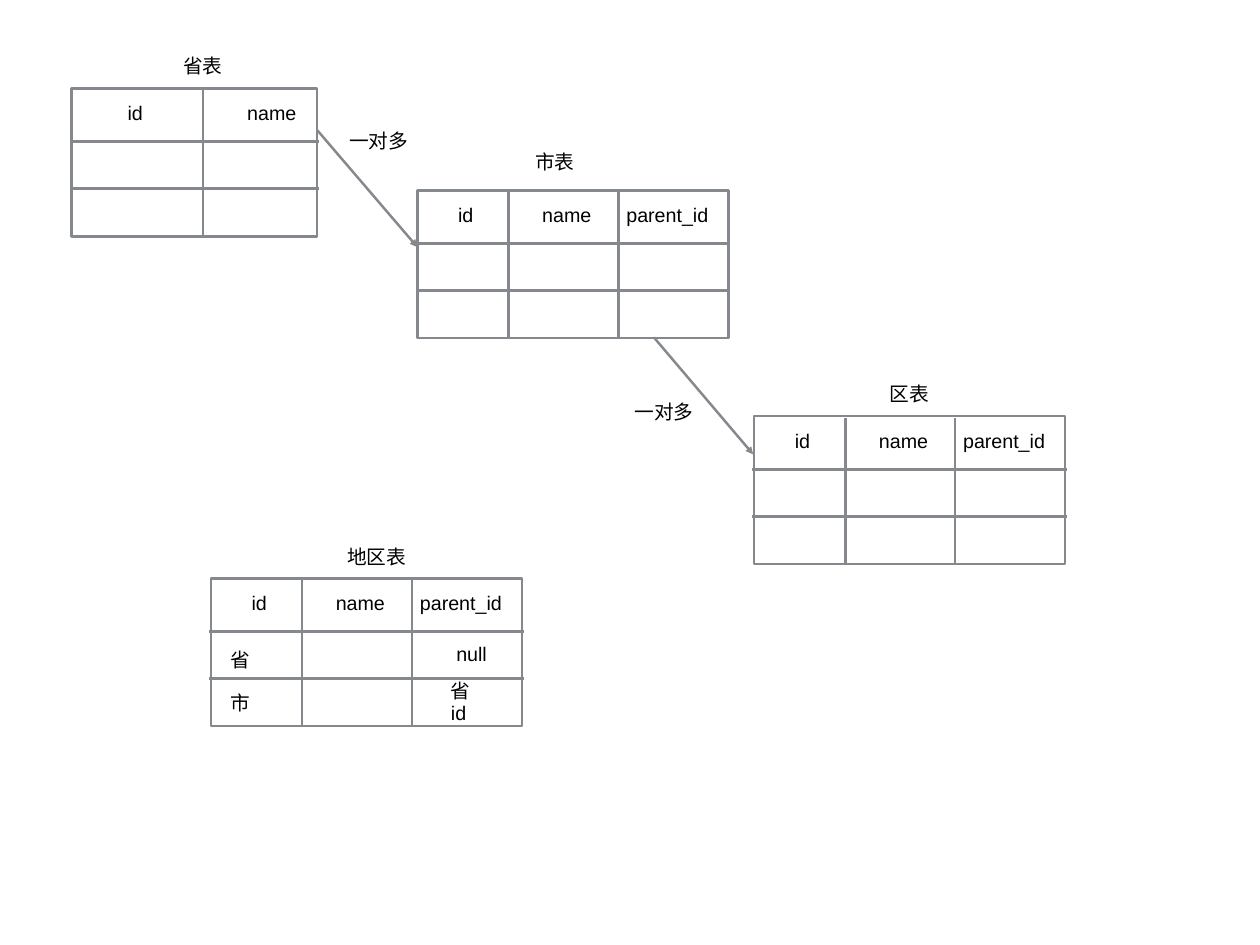
from lxml.etree import SubElement
from pptx import Presentation
from pptx.dml.color import RGBColor
from pptx.enum.shapes import MSO_CONNECTOR, MSO_SHAPE
from pptx.enum.text import MSO_ANCHOR, MSO_AUTO_SIZE
from pptx.oxml.ns import qn
from pptx.util import Inches, Pt

GREY = RGBColor.from_string("85888D")
BLACK = RGBColor.from_string("000000")

deck = Presentation()
deck.slide_width = Inches(14.22)
deck.slide_height = Inches(10.67)
page = deck.slides.add_slide(deck.slide_layouts[6])


def add_line(x1, y1, x2, y2, arrow=False):
    line = page.shapes.add_connector(
        MSO_CONNECTOR.STRAIGHT, Inches(x1), Inches(y1), Inches(x2), Inches(y2))
    line.line.color.rgb = GREY
    line.line.width = Pt(2)
    if arrow:
        SubElement(line.line._get_or_add_ln(), qn("a:tailEnd"), type="triangle")
    SubElement(line._element.spPr, qn("a:effectLst"))


def add_label(text, left, top, width, height=0.42, wrap=False):
    box = page.shapes.add_textbox(
        Inches(left), Inches(top), Inches(width), Inches(height))
    frame = box.text_frame
    frame.margin_left = frame.margin_right = Inches(0.06)
    frame.margin_top = frame.margin_bottom = Inches(0.06)
    frame.vertical_anchor = MSO_ANCHOR.MIDDLE
    frame.word_wrap = wrap
    frame.auto_size = MSO_AUTO_SIZE.NONE if wrap else MSO_AUTO_SIZE.SHAPE_TO_FIT_TEXT
    para = frame.paragraphs[0]
    para.text = text
    para.line_spacing = 0.9
    para.space_before = Pt(1)
    para.font.name = "Arial"
    para.font.size = Pt(16)
    para.font.color.rgb = BLACK


# Table designs: width, column dividers, headings (text, offset, width)
two_columns = (2.77, [1.48], [("id", 0.57, 0.31), ("name", 1.92, 0.68)])
three_columns = (3.51, [1.03, 2.27],
                 [("id", 0.4, 0.31), ("name", 1.35, 0.68), ("parent_id", 2.3, 1.06)])

# Tables: left, top, design, then title with its left, top and width
tables = [
    (0.81, 1.0, two_columns, ("省表", 2.01, 0.55, 0.57)),
    (4.71, 2.15, three_columns, ("市表", 5.98, 1.63, 0.57)),
    (8.51, 4.7, three_columns, ("区表", 9.98, 4.25, 0.57)),
    (2.38, 6.53, three_columns, ("地区表", 3.86, 6.09, 0.79)),
]
for left, top, (width, dividers, headings), title in tables:
    outline = page.shapes.add_shape(
        MSO_SHAPE.RECTANGLE, Inches(left), Inches(top), Inches(width), Inches(1.67))
    outline.fill.background()
    outline.line.color.rgb = GREY
    outline.line.width = Pt(2)
    outline.shadow.inherit = False
    for row in (0.6, 1.13):
        add_line(left - 0.02, top + row, left + width + 0.02, top + row)
    for divider in dividers:
        add_line(left + divider, top + 1.66, left + divider, top + 0.02)
    for heading, offset, heading_width in headings:
        add_label(heading, left + offset, top + 0.1, heading_width, 0.38)
    add_label(*title)

# One-to-many arrows between the tables
for x1, y1, x2, y2, label_left, label_top in [
    (3.58, 1.47, 4.71, 2.79, 3.88, 1.39),
    (7.38, 3.81, 8.5, 5.13, 7.1, 4.46),
]:
    add_line(x1, y1, x2, y2, arrow=True)
    add_label("一对多", label_left, label_top, 0.79)

# Sample rows of the region table
add_label("省", 2.54, 7.25, 0.35)
add_label("null", 5.09, 7.21, 0.47, 0.38)
add_label("市", 2.54, 7.74, 0.35)
add_label("省id", 5.03, 7.73, 0.5, wrap=True)

deck.save("out.pptx")
